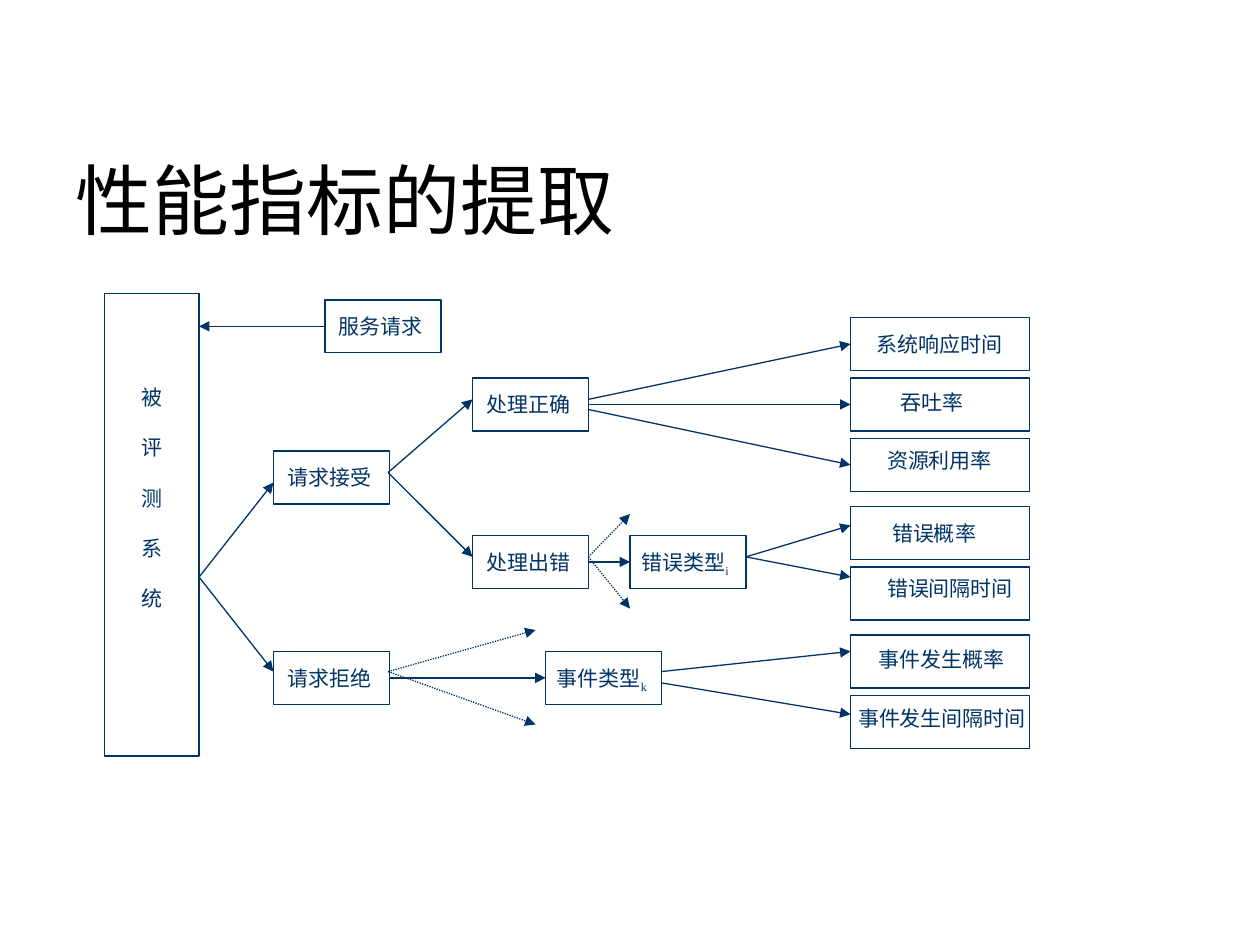
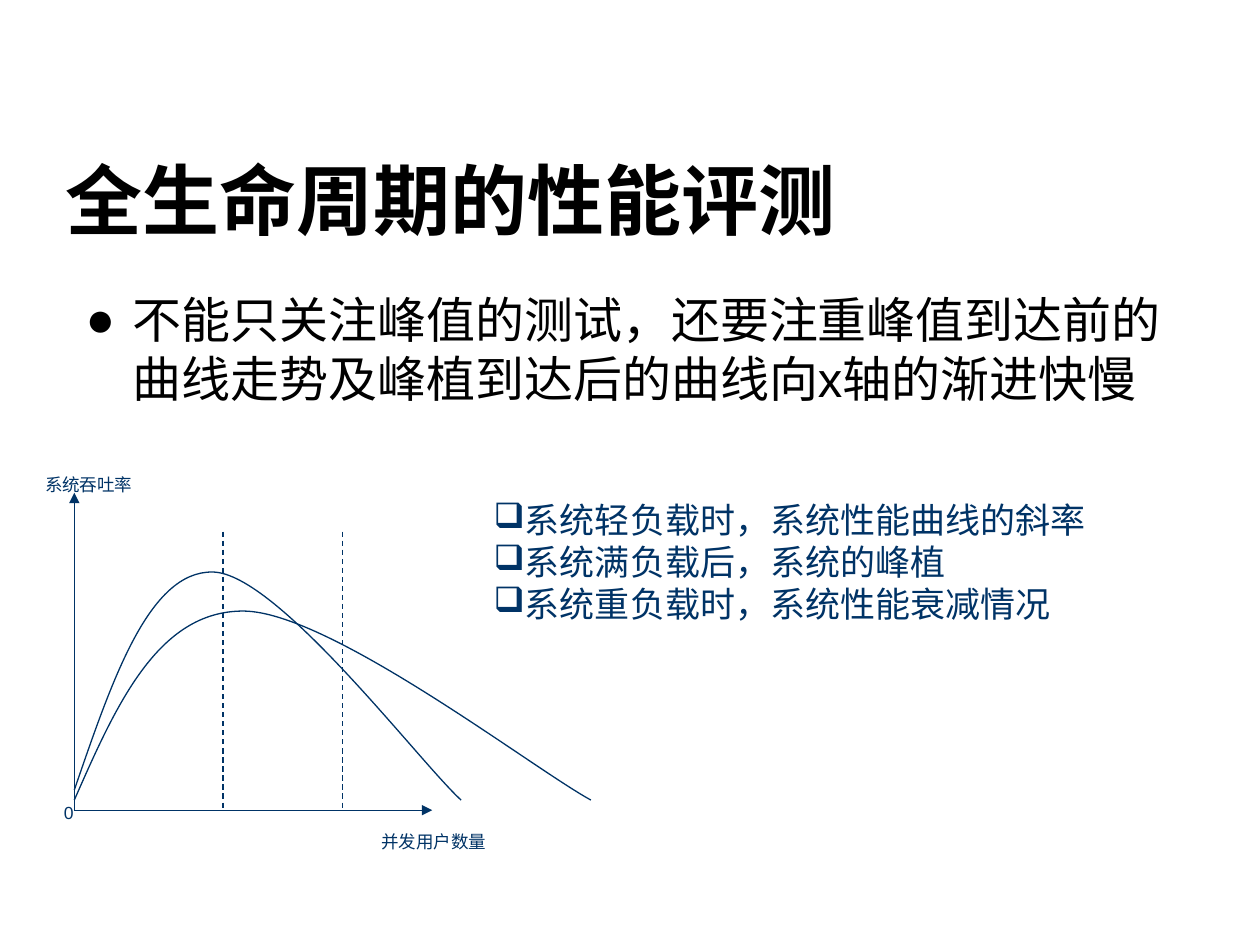
from dataclasses import dataclass

from pptx import Presentation
from pptx.dml.color import RGBColor
from pptx.enum.dml import MSO_LINE
from pptx.enum.shapes import MSO_CONNECTOR, MSO_SHAPE
from pptx.enum.text import MSO_ANCHOR, MSO_AUTO_SIZE, PP_ALIGN
from pptx.oxml.ns import qn
from pptx.util import Inches, Pt

RECT, STRAIGHT = MSO_SHAPE.RECTANGLE, MSO_CONNECTOR.STRAIGHT
DOT, DASH = MSO_LINE.ROUND_DOT, MSO_LINE.DASH
LEFT, CENTER = PP_ALIGN.LEFT, PP_ALIGN.CENTER
TOP, BOTTOM = MSO_ANCHOR.TOP, MSO_ANCHOR.BOTTOM
FIXED = MSO_AUTO_SIZE.NONE


@dataclass(frozen=True)
class Theme:
    ink: RGBColor = RGBColor(0, 0, 0)
    navy: RGBColor = RGBColor(0x00, 0x33, 0x66)
    sans: str = "Arial"
    serif: str = "Times New Roman"
    title: int = 44
    body: int = 28
    list: int = 20
    node: int = 12
    axis: int = 10
    line: float = 0.75


T = Theme()

# Content of the flow slide, lengths in inches
FLOW = "性能指标的提取"
SYSTEM = ("被评测系统", 0.83, 2.33, 0.75, 3.67)
NODE_W, NODE_H, PAD, DROP = 0.92, 0.42, 0.11, 0.11
STEPS = [  # text, subscript, left, top
    ("服务请求", "", 2.58, 2.38),
    ("请求接受", "", 2.17, 3.58),
    ("请求拒绝", "", 2.17, 5.17),
    ("处理正确", "", 3.75, 3.0),
    ("处理出错", "", 3.75, 4.25),
    ("错误类型", "i", 5.0, 4.25),
    ("事件类型", "k", 4.33, 5.17),
]
GOAL_X, GOAL_W, GOAL_GAP = 6.75, 1.42, 0.48
GOALS = [  # top of the group, then text, indent and drop of each box
    (2.52, [("系统响应时间", 0.21, 0.11), ("吞吐率", 0.4, 0.09),
            ("资源利用率", 0.29, 0.07)]),
    (4.02, [("错误概率", 0.33, 0.11), ("错误间隔时间", 0.29, 0.07)]),
    (5.04, [("事件发生概率", 0.22, 0.09), ("事件发生间隔时间", 0.06, 0.08)]),
]
FANS = [  # start, ends, dash
    ((2.58, 2.59), [(1.58, 2.59)], None),
    ((1.58, 4.58), [(2.17, 3.83), (2.17, 5.33)], None),
    ((3.08, 3.75), [(3.75, 3.17), (3.75, 4.42)], None),
    ((4.67, 4.45), [(5.0, 4.45)], None),
    ((4.67, 4.42), [(5.0, 4.08), (5.0, 4.83)], DOT),
    ((4.67, 3.21), [(6.75, 3.21)], None),
    ((4.67, 3.17), [(6.75, 2.75)], None),
    ((4.67, 3.25), [(6.75, 3.67)], None),
    ((5.92, 4.42), [(6.75, 4.17), (6.75, 4.58)], None),
    ((3.08, 5.37), [(4.33, 5.37)], None),
    ((3.08, 5.33), [(4.25, 5.0), (4.25, 5.75)], DOT),
    ((5.25, 5.33), [(6.75, 5.17)], None),
    ((5.25, 5.42), [(6.75, 5.67)], None),
]

# Content of the load slide
LOAD = "全生命周期的性能评测"
POINT = "不能只关注峰值的测试，还要注重峰值到达前的曲线走势及峰植到达后的曲线向x轴的渐进快慢"
NOTES = ["系统轻负载时，系统性能曲线的斜率", "系统满负载后，系统的峰植",
         "系统重负载时，系统性能衰减情况"]
ZERO, PEAK, FAR = (0.59, 6.43), (0.59, 3.91), (3.43, 6.43)
MARKS, MARK_TOP = (1.77, 2.72), 4.22
CURVES = [  # start, then three points per Bezier part
    [(0.59, 6.27), (0.89, 5.4), (1.18, 4.53), (1.69, 4.54),
     (2.2, 4.55), (3.33, 6.05), (3.66, 6.35)],
    [(0.59, 6.35), (0.92, 5.6), (1.25, 4.85), (1.93, 4.85),
     (2.61, 4.85), (4.23, 6.1), (4.69, 6.35)],
]
TAGS = [("并发用户数量", 2.93, 6.55), ("系统吞吐率", 0.26, 3.71), ("0", 0.41, 6.32)]


# Shared helpers
def write(para, text, size, color=T.navy, face=T.sans, bold=False):
    run = para.add_run()
    run.text = text
    font = run.font
    font.size, font.name, font.bold = Pt(size), face, bold
    font.color.rgb = color
    return run


def place(shape, x, y, w, h):
    shape.left, shape.top = Inches(x), Inches(y)
    shape.width, shape.height = Inches(w), Inches(h)


def bullet(para, char, color):
    props = para._p.get_or_add_pPr()
    tint = props.makeelement(qn("a:buClr"), {})
    tint.append(tint.makeelement(qn("a:srgbClr"), {"val": str(color)}))
    props.append(tint)
    props.append(props.makeelement(qn("a:buChar"), {"char": char}))


def head(slide, text, x, bold=False):
    place(slide.shapes.title, x, 0.75, 8.75, 1.25)
    frame = slide.shapes.title.text_frame
    frame.auto_size, frame.vertical_anchor = FIXED, BOTTOM
    para = frame.paragraphs[0]
    para.alignment, para.line_spacing = LEFT, 0.9
    write(para, text, T.title, T.ink, bold=bold)


def stroke(shape, dash=None):
    shape.line.width = Pt(T.line)
    shape.line.color.rgb = T.navy
    if dash:
        shape.line.dash_style = dash


def box(slide, x, y, w, h, pad, drop):
    shape = slide.shapes.add_shape(RECT, *map(Inches, (x, y, w, h)))
    shape.shadow.inherit = False
    shape.fill.background()
    stroke(shape)
    frame = shape.text_frame
    frame.word_wrap, frame.vertical_anchor = True, TOP
    frame.margin_left, frame.margin_top = Inches(pad), Inches(drop)
    frame.margin_right = frame.margin_bottom = 0
    frame.paragraphs[0].alignment = LEFT
    return shape


def wire(slide, start, end, dash=None, arrow=True):
    line = slide.shapes.add_connector(STRAIGHT, *map(Inches, start + end))
    stroke(line, dash)
    if arrow:
        ln = line.line._ln
        ln.append(ln.makeelement(qn("a:tailEnd"), {"type": "triangle"}))
    props = line._element.spPr
    props.append(props.makeelement(qn("a:effectLst"), {}))
    return line


def port(boxes, spot):
    """Find the box and side whose middle lies at the spot."""
    px, py, near = Inches(spot[0]), Inches(spot[1]), Inches(0.025)
    for shape in boxes:
        mid = shape.top + shape.height // 2
        for side, edge in ((1, shape.left), (3, shape.left + shape.width)):
            if abs(px - edge) < near and abs(py - mid) < near:
                return shape, side
    return None


def curve(slide, points):
    spots = [(Inches(x), Inches(y)) for x, y in points]
    pen = slide.shapes.build_freeform(*spots[0], scale=1.0)
    pen.add_line_segments(spots[1:], close=False)
    shape = pen.convert_to_shape()
    shape.shadow.inherit = False
    shape.fill.background()
    stroke(shape)
    # Turn every three straight steps into one cubic part
    steps = list(shape._element.iter(qn("a:lnTo")))
    for i in range(0, len(steps), 3):
        part = steps[i].makeelement(qn("a:cubicBezTo"), {})
        steps[i].addprevious(part)
        for step in steps[i:i + 3]:
            part.append(step[0])
            step.getparent().remove(step)


def label(slide, lines, x, y, w, h, size, mark=None):
    frame = slide.shapes.add_textbox(*map(Inches, (x, y, w, h))).text_frame
    frame.word_wrap = True
    for i, text in enumerate(lines):
        para = frame.add_paragraph() if i else frame.paragraphs[0]
        if mark:
            bullet(para, mark, T.navy)
        write(para, text, size)


# Slides
def flow(deck):
    slide = deck.slides.add_slide(deck.slide_layouts[5])
    head(slide, FLOW, 0.5)

    # Tested system, one letter a line
    name, *area = SYSTEM
    tall = box(slide, *area, 0, 0.72)
    frame = tall.text_frame
    for i, char in enumerate(name):
        para = frame.add_paragraph() if i else frame.paragraphs[0]
        para.alignment, para.space_after = CENTER, Pt(14.4)
        write(para, char, T.node, face=T.serif)

    # Steps and measures
    boxes = [tall]
    cells = [(text, sub, x, y, NODE_W, PAD, DROP) for text, sub, x, y in STEPS]
    for top, goals in GOALS:
        cells += [(text, "", GOAL_X, top + i * GOAL_GAP, GOAL_W, pad, drop)
                  for i, (text, pad, drop) in enumerate(goals)]
    for text, sub, x, y, w, pad, drop in cells:
        shape = box(slide, x, y, w, NODE_H, 0.09 if sub else pad, drop)
        para = shape.text_frame.paragraphs[0]
        write(para, text, T.node, face=T.serif)
        if sub:
            run = write(para, sub, T.node, face=T.serif)
            run.font._element.set("baseline", "-25000")
        boxes.append(shape)

    # Arrows, joined where they meet the middle of a side
    for start, ends, dash in FANS:
        for end in ends:
            line = wire(slide, start, end, dash)
            for spot, join in ((start, line.begin_connect), (end, line.end_connect)):
                found = port(boxes, spot)
                if found:
                    join(*found)


def load(deck):
    slide = deck.slides.add_slide(deck.slide_layouts[1])
    head(slide, LOAD, 0.42, bold=True)

    # Main point
    body = slide.placeholders[1]
    place(body, 0.58, 2.25, 8.75, 4.08)
    body.text_frame.auto_size = FIXED
    para = body.text_frame.paragraphs[0]
    para.space_before = Pt(7)
    props = para._p.get_or_add_pPr()
    props.set("marL", str(Pt(27)))
    props.set("indent", str(-Pt(27)))
    bullet(para, "●", T.ink)
    write(para, POINT, T.body, T.ink)

    # Axes, curves and load limits
    for tip in (PEAK, FAR):
        wire(slide, ZERO, tip)
    for points in CURVES:
        curve(slide, points)
    for x in MARKS:
        wire(slide, (x, MARK_TOP), (x, ZERO[1]), DASH, arrow=False)
    for text, x, y in TAGS:
        label(slide, [text], x, y, 0.25 + 0.15 * len(text), 0.27, T.axis)
    label(slide, NOTES, 3.82, 3.91, 5.2, 1.1, T.list, "❑")


def main():
    deck = Presentation()
    deck.slide_width, deck.slide_height = Inches(10), Inches(7.5)
    flow(deck)
    load(deck)
    deck.save("out.pptx")


if __name__ == "__main__":
    main()
